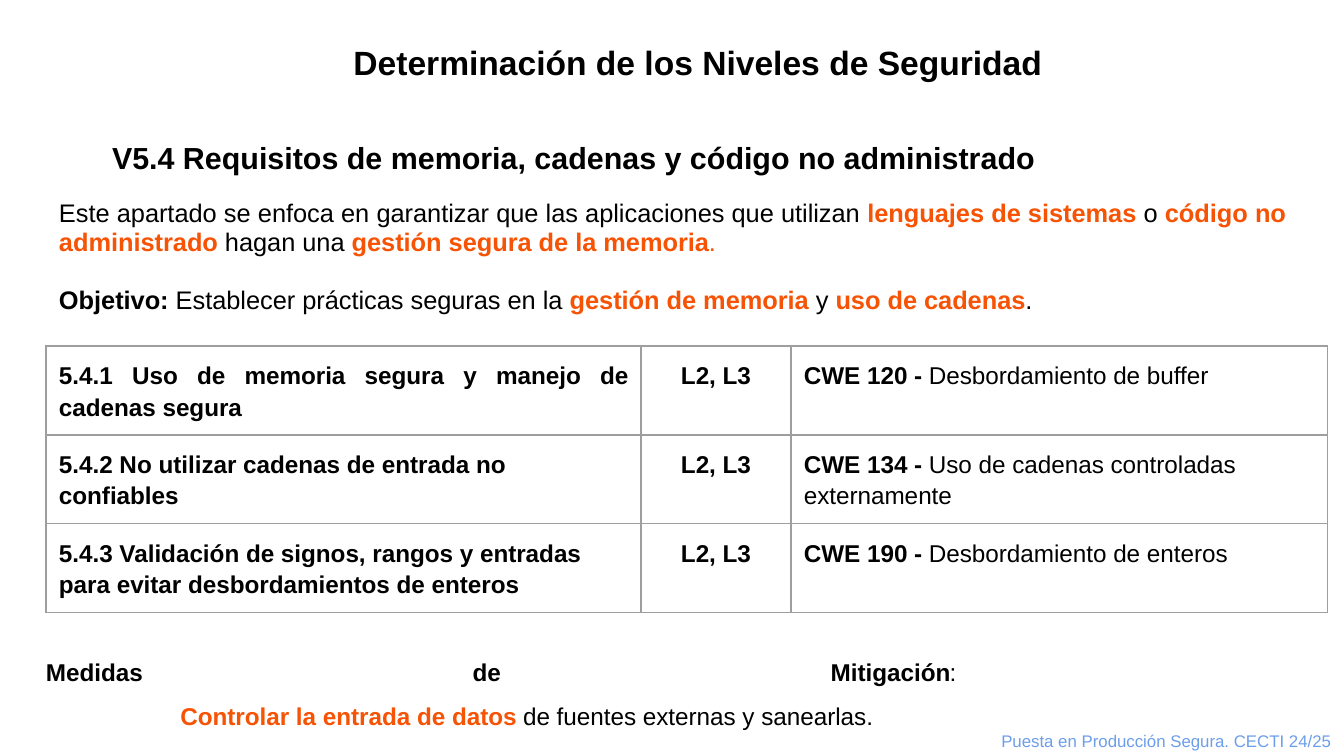
from lxml import etree
from pptx import Presentation
from pptx.dml.color import RGBColor
from pptx.enum.text import MSO_ANCHOR as Anchor, MSO_AUTO_SIZE as Auto, PP_ALIGN as Align
from pptx.oxml.ns import qn
from pptx.util import Emu, Pt

PX = 914400 / 134.4
BLACK = RGBColor(0x00, 0x00, 0x00)
ORANGE = RGBColor(0xF6, 0x53, 0x05)
BLUE = RGBColor(0x6D, 0x9E, 0xEB)
GRAY = RGBColor(0x9E, 0x9E, 0x9E)


def px(n):
    return Emu(round(n * PX))


def write(para, runs, size, align, line=1.0, before=0, after=0):
    para.alignment = align
    para.line_spacing = line
    para.space_before = Pt(before)
    para.space_after = Pt(after)
    para.font.size = Pt(size)
    para.font.name = "Arial"
    for text, color, bold in runs:
        if text == "\n":
            para.add_line_break()
            continue
        run = para.add_run()
        run.text = text
        run.font.name = "Arial"
        run.font.size = Pt(size)
        run.font.bold = bold
        run.font.color.rgb = color


deck = Presentation()
deck.slide_width, deck.slide_height = px(1344), px(756)
slide = deck.slides.add_slide(deck.slide_layouts[0])
shapes = slide.shapes
title, body = slide.placeholders
notes = shapes.add_textbox(0, 0, 0, 0)
foot = shapes.add_textbox(0, 0, 0, 0)

for shape, box, anchor in [
    (title, (165, 26, 1013, 69), Anchor.BOTTOM),
    (body, (46, 129, 1253, 239), Anchor.TOP),
    (notes, (46, 630, 1253, 110), Anchor.TOP),
    (foot, (970, 718, 374, 39), Anchor.TOP),
]:
    shape.left, shape.top, shape.width, shape.height = map(px, box)
    frame = shape.text_frame
    frame.word_wrap = True
    frame.auto_size = Auto.NONE
    frame.vertical_anchor = anchor
    frame.margin_left = frame.margin_right = px(13)
    frame.margin_top = frame.margin_bottom = px(13)
notes.text_frame.margin_left = 0

head = title.text_frame.paragraphs[0]
write(head, [("Determinación de los Niveles de Seguridad", BLACK, True)],
      18, Align.CENTER, 1.2, 23, 12)

topic = body.text_frame.paragraphs[0]
write(topic, [("V5.4 Requisitos de memoria, cadenas y código no administrado", BLACK, True)],
      16.3, Align.JUSTIFY, 0.95, 20)
for para in (head, topic):
    para._p.get_or_add_pPr().set("indent", str(px(53)))

write(body.text_frame.add_paragraph(), [
    ("Este apartado se enfoca en garantizar que las aplicaciones que utilizan ", BLACK, False),
    ("lenguajes de sistemas ", ORANGE, True),
    ("o ", BLACK, False),
    ("código no administrado", ORANGE, True),
    (" hagan una ", BLACK, False),
    ("gestión segura de la memoria", ORANGE, True),
    (".", ORANGE, False),
], 13.6, Align.JUSTIFY, 0.95, 12)
write(body.text_frame.add_paragraph(), [
    ("Objetivo: ", BLACK, True),
    ("Establecer prácticas seguras en la ", BLACK, False),
    ("gestión de memoria", ORANGE, True),
    (" y ", BLACK, False),
    ("uso de cadenas", ORANGE, True),
    (".", BLACK, False),
], 13.6, Align.JUSTIFY, 0.95, 15.5)

write(notes.text_frame.paragraphs[0], [
    ("Medidas de Mitigación", BLACK, True),
    (": ", BLACK, False),
    ("\n", BLACK, False),
    ("\t\t", BLACK, False),
    ("Controlar la entrada de datos", ORANGE, True),
    (" de fuentes externas y sanearlas.", BLACK, False),
], 13, Align.JUSTIFY, 1.5, 0, 12)

write(foot.text_frame.paragraphs[0],
      [("Puesta en Producción Segura. CECTI 24/25", BLUE, False)], 9, Align.RIGHT)

rows = [
    ("5.4.1 Uso de memoria segura y manejo de cadenas segura",
     "CWE 120 -", " Desbordamiento de buffer", Align.JUSTIFY),
    ("5.4.2 No utilizar cadenas de entrada no confiables",
     "CWE 134 -", " Uso de cadenas controladas externamente", Align.LEFT),
    ("5.4.3 Validación de signos, rangos y entradas para evitar desbordamientos de enteros",
     "CWE 190 -", " Desbordamiento de enteros", Align.LEFT),
]
widths = [595, 150, 537]
table = shapes.add_table(len(rows), len(widths), px(46), px(346),
                         px(sum(widths)), px(89 * len(rows))).table
table.first_row = table.horz_banding = False
for col, width in zip(table.columns, widths):
    col.width = px(width)

for r, (rule, code, flaw, align) in enumerate(rows):
    table.rows[r].height = px(89)
    cells = [
        ([(rule, BLACK, True)], align),
        ([("L2, L3", BLACK, True)], Align.CENTER),
        ([(code, BLACK, True), (flaw, BLACK, False)], Align.LEFT),
    ]
    for c, (runs, side) in enumerate(cells):
        cell = table.cell(r, c)
        cell.margin_left = cell.margin_right = px(13)
        cell.margin_top = cell.margin_bottom = px(13)
        write(cell.text_frame.paragraphs[0], runs, 13, side, 1.15)
        props = cell._tc.get_or_add_tcPr()
        for edge in ("lnL", "lnR", "lnT", "lnB"):
            line = etree.SubElement(props, qn(f"a:{edge}"), w=str(Pt(0.75)))
            fill = etree.SubElement(line, qn("a:solidFill"))
            etree.SubElement(fill, qn("a:srgbClr"), val=str(GRAY))
        cell.fill.background()

deck.save("out.pptx")
